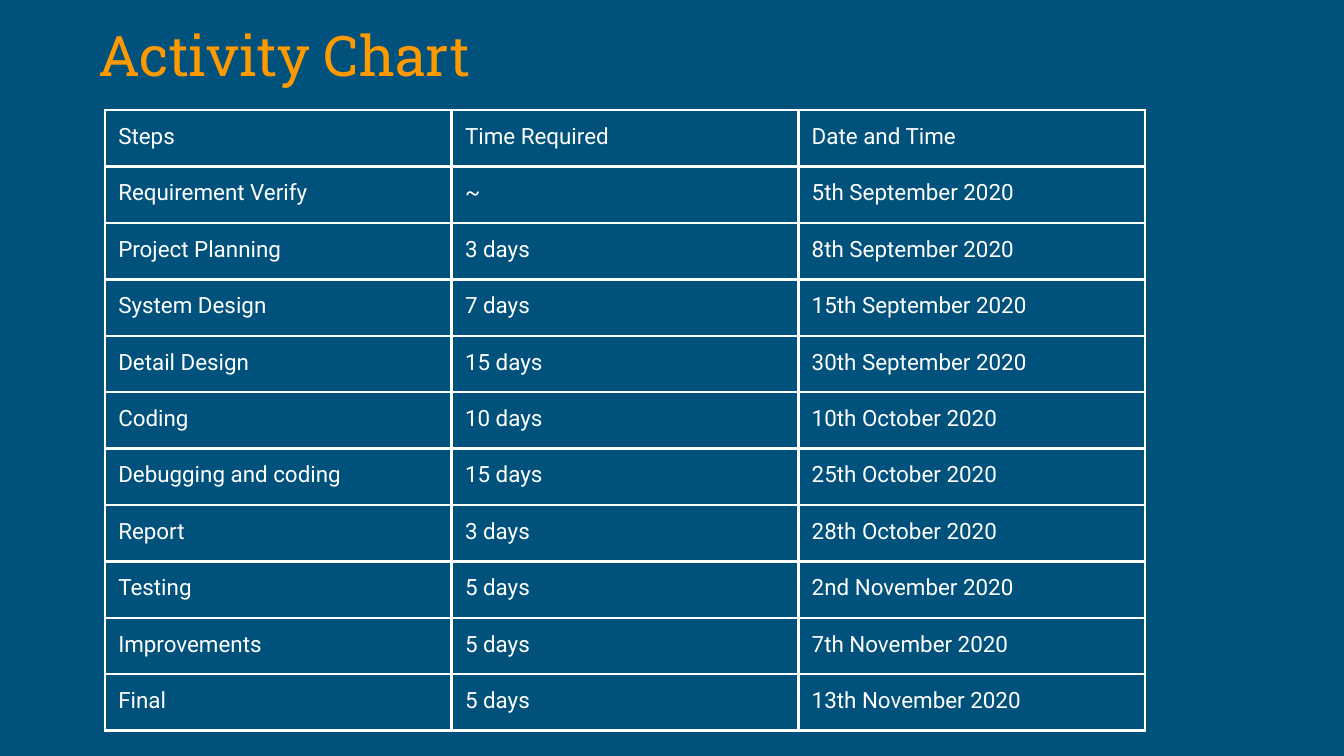
from lxml import etree
from pptx import Presentation
from pptx.dml.color import RGBColor
from pptx.enum import text
from pptx.oxml import ns
from pptx.util import Inches, Pt

# Content
TITLE = "Activity Chart"
ACTIVITIES = [
    ("Steps", "Time Required", "Date and Time"),
    ("Requirement Verify", "~", "5th September 2020"),
    ("Project Planning", "3 days", "8th September 2020"),
    ("System Design", "7 days", "15th September 2020"),
    ("Detail Design", "15 days", "30th September 2020"),
    ("Coding", "10 days", "10th October 2020"),
    ("Debugging and coding", "15 days", "25th October 2020"),
    ("Report", "3 days", "28th October 2020"),
    ("Testing", "5 days", "2nd November 2020"),
    ("Improvements", "5 days", "7th November 2020"),
    ("Final", "5 days", "13th November 2020"),
]
BLUE, ORANGE, WHITE = "00517C", "FF9900", "FFFFFF"
COLUMN_WIDTH, ROW_HEIGHT, MARGIN = 2.58, 0.42, Inches(0.1)


def paint(color_format, color):
    color_format.rgb = RGBColor.from_string(color)


def format_text(frame, font, size, color):
    for para in frame.paragraphs:
        para.alignment = text.PP_ALIGN.LEFT
        for span in para.runs:
            span.font.name, span.font.size = font, Pt(size)
            span.font.bold = False
            paint(span.font.color, color)


def set_margins(holder, left=MARGIN):
    holder.margin_left = left
    holder.margin_top = holder.margin_right = holder.margin_bottom = MARGIN


def add_borders(cell, color, width):
    properties = cell._tc.get_or_add_tcPr()
    for position, side in enumerate(("lnL", "lnR", "lnT", "lnB")):
        line = etree.Element(ns.qn(f"a:{side}"), w=str(Pt(width)))
        fill = etree.SubElement(line, ns.qn("a:solidFill"))
        etree.SubElement(fill, ns.qn("a:srgbClr"), val=color)
        properties.insert(position, line)


# Page in 16:9
deck = Presentation()
deck.slide_width = Inches(10)
deck.slide_height = deck.slide_width * 9 // 16
page = deck.slides.add_slide(deck.slide_layouts[5])
page.background.fill.solid()
paint(page.background.fill.fore_color, BLUE)

# Title
title = page.shapes.title
title.left, title.top = Inches(0.42), Inches(0.09)
title.width, title.height = Inches(9.15), Inches(0.66)
frame = title.text_frame
frame.text = TITLE
frame.word_wrap = True
frame.auto_size = text.MSO_AUTO_SIZE.NONE
frame.vertical_anchor = text.MSO_ANCHOR.BOTTOM
set_margins(frame, left=Inches(0.31))
format_text(frame, "Roboto Slab", 30, ORANGE)

# Activity table
row_count, column_count = len(ACTIVITIES), len(ACTIVITIES[0])
table = page.shapes.add_table(
    row_count, column_count, Inches(0.78), Inches(0.82),
    Inches(COLUMN_WIDTH * column_count), Inches(ROW_HEIGHT * row_count)).table
table.first_row = table.horz_banding = False
for column in table.columns:
    column.width = Inches(COLUMN_WIDTH)
for row, activity in zip(table.rows, ACTIVITIES):
    row.height = Inches(ROW_HEIGHT)
    for cell, words in zip(row.cells, activity):
        cell.text_frame.text = words
        cell.fill.background()
        set_margins(cell)
        format_text(cell.text_frame, "Roboto", 12, WHITE)
        add_borders(cell, WHITE, 1.5)

deck.save("out.pptx")
